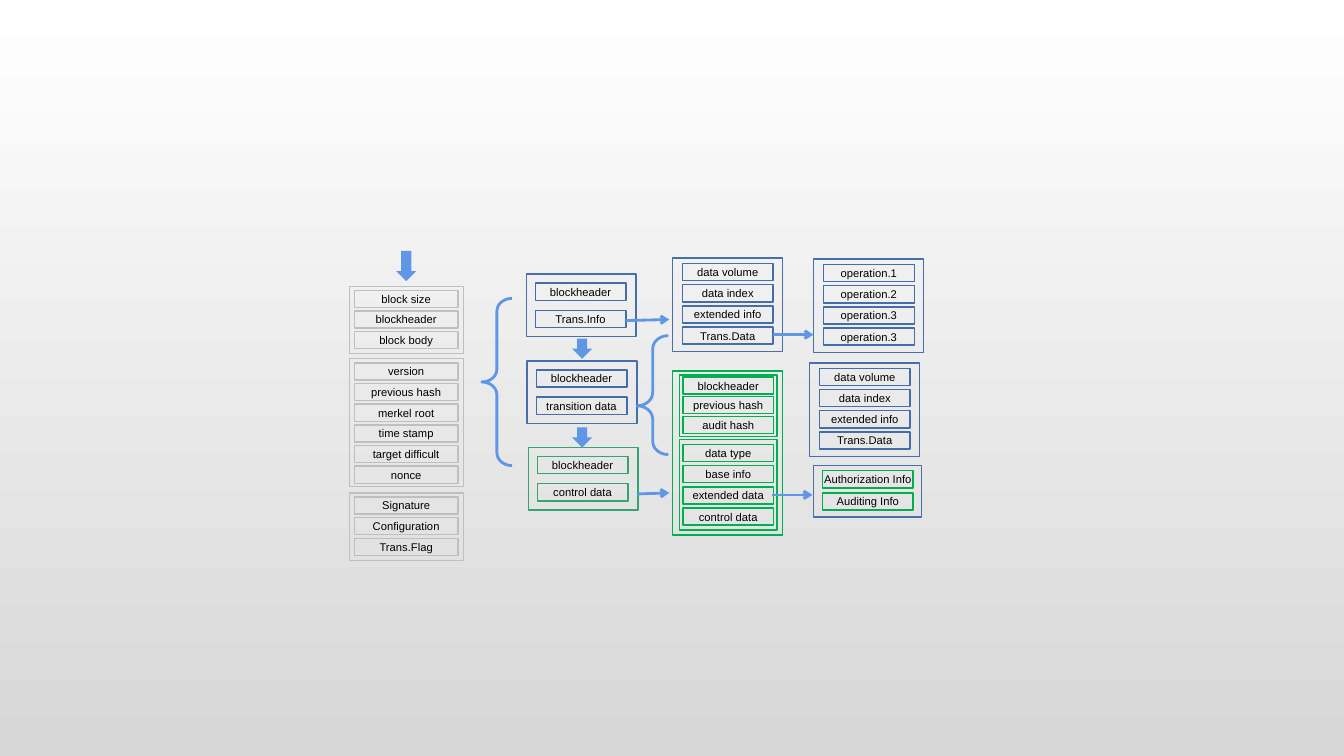
import pptx
import pptx.dml.color
import pptx.enum.dml
import pptx.enum.shapes
import pptx.enum.text
import pptx.oxml
import pptx.oxml.ns
import pptx.util

COLORS = {
    "flow": "6096E6", "blue": "476FAA", "blue row": "446DA9",
    "green": "00B050", "soft green": "34A471", "gray": "BFBFBF",
    "text": "000000", "top": "FFFFFF", "bottom": "D7D7D7",
}
SHAPES = pptx.enum.shapes.MSO_SHAPE
ROW_HEIGHT = 1.7


def cells(count):
    """Length of a number of grid cells; the slide is 133.33 by 75 cells."""
    return pptx.util.Inches(count / 10)


def color(name):
    return pptx.dml.color.RGBColor.from_string(COLORS[name])


def add_outline(slide, kind, box, line, width=1):
    shape = slide.shapes.add_shape(kind, *map(cells, box))
    shape.shadow.inherit = False
    shape.fill.background()
    shape.line.color.rgb = color(line)
    shape.line.width = pptx.util.Pt(width)
    return shape


def write_text(shape, text, size=8, font="Arial", ink="text"):
    frame = shape.text_frame
    frame.word_wrap = True
    frame.auto_size = pptx.enum.text.MSO_AUTO_SIZE.SHAPE_TO_FIT_TEXT
    frame.vertical_anchor = pptx.enum.text.MSO_ANCHOR.MIDDLE
    frame.margin_left = frame.margin_right = 0
    frame.margin_top = frame.margin_bottom = cells(0.2)
    paragraph = frame.paragraphs[0]
    paragraph.alignment = pptx.enum.text.PP_ALIGN.CENTER
    run = paragraph.add_run()
    run.text = text
    run.font.size = pptx.util.Pt(size)
    run.font.name = font
    run.font.color.rgb = color(ink)


def add_panel(slide, box, labels, line, row_line=None, inset=(1, 0.55), row_width=9, pitch=2.1):
    """Frame with labelled rows, placed by inset and pitch from its top left corner."""
    add_outline(slide, SHAPES.RECTANGLE, box, line)
    for index, label in enumerate(labels):
        row_box = (box[0] + inset[0], box[1] + inset[1] + index * pitch, row_width, ROW_HEIGHT)
        row = add_outline(slide, SHAPES.RECTANGLE, row_box, row_line or line)
        write_text(row, label)


def add_down_arrow(slide, box):
    arrow = slide.shapes.add_shape(SHAPES.RIGHT_ARROW, *map(cells, box))
    arrow.rotation = 90
    arrow.shadow.inherit = False
    arrow.fill.solid()
    arrow.fill.fore_color.rgb = color("flow")
    arrow.line.fill.background()


def add_brace(slide, box, point):
    brace = add_outline(slide, SHAPES.LEFT_BRACE, box, "flow", width=2)
    brace.adjustments[0] = 0.42
    brace.adjustments[1] = point


def add_arrow(slide, start, end):
    arrow = slide.shapes.add_connector(
        pptx.enum.shapes.MSO_CONNECTOR.STRAIGHT, *map(cells, start + end))
    arrow.line.color.rgb = color("flow")
    arrow.line.width = pptx.util.Pt(2)
    namespace = pptx.oxml.ns.nsdecls("a")
    arrow.line._get_or_add_ln().append(
        pptx.oxml.parse_xml(f'<a:tailEnd {namespace} type="arrow"/>'))
    arrow._element.spPr.append(pptx.oxml.parse_xml(f"<a:effectLst {namespace}/>"))


def add_block_column(slide, left, top):
    add_down_arrow(slide, (left + 4.1, top - 3, 3, 2))
    groups = [
        (0, 6.7, ["block size", "blockheader", "block body"]),
        (7.2, 12.7, ["version", "previous hash", "merkel root",
                     "time stamp", "target difficult", "nonce"]),
        (20.5, 6.7, ["Signature", "Configuration", "Trans.Flag"]),
    ]
    for offset, height, labels in groups:
        add_panel(slide, (left, top + offset, 11.3, height), labels, "gray",
                  inset=(0.45, 0.4), row_width=10.3, pitch=2.05)


def add_chain_column(slide, left, top):
    add_brace(slide, (left - 4.4, top + 2.4, 3, 16.6), 0.5)
    links = [("Trans.Info", "blue", "blue row"), ("transition data", "blue", "blue row"),
             ("control data", "soft green", "soft green")]
    for index, (label, line, row_line) in enumerate(links):
        box = (left + index * 0.1, top + index * 8.6, 10.9, 6.2)
        add_panel(slide, box, ["blockheader", label], line, row_line, inset=(0.9, 0.9), pitch=2.7)
    for offset in (6.4, 15.2):
        add_down_arrow(slide, (left + 4.55, top + offset, 2, 2))


def add_data_column(slide, left, top):
    add_panel(slide, (left, top, 10.9, 9.3),
              ["data volume", "data index", "extended info", "Trans.Data"], "blue", "blue row")
    add_panel(slide, (left, top + 11.2, 10.9, 16.3), [], "green")
    add_panel(slide, (left + 0.7, top + 11.6, 9.7, 6.1),
              ["blockheader", "previous hash", "audit hash"], "green",
              inset=(0.35, 0.2), pitch=1.95)
    add_panel(slide, (left + 0.7, top + 18, 9.7, 9),
              ["data type", "base info", "extended data", "control data"], "green",
              inset=(0.35, 0.5))


def add_detail_column(slide, left, top):
    add_panel(slide, (left, top, 10.9, 9.3),
              ["operation.1", "operation.2", "operation.3", "operation.3"], "blue", "blue row")
    add_panel(slide, (left - 0.4, top + 10.3, 10.9, 9.3),
              ["data volume", "data index", "extended info", "Trans.Data"], "blue", "blue row")
    add_panel(slide, (left, top + 20.5, 10.7, 5.1),
              ["Authorization Info", "Auditing Info"], "blue", "green",
              inset=(0.9, 0.5), pitch=2.2)


def add_links(slide):
    add_brace(slide, (63.2, 33.3, 3.1, 11.8), 0.59)
    links = [((62.1, 31.8), (66.4, 31.7)), ((63.3, 49), (66.4, 48.9)),
             ((76.7, 33.2), (80.7, 33.2)), ((76.6, 49.1), (80.6, 49.1))]
    for start, end in links:
        add_arrow(slide, start, end)


def paint_background(slide):
    fill = slide.background.fill
    fill.gradient()
    fill.gradient_angle = 270
    for stop, name, position in zip(fill.gradient_stops, ("top", "bottom"), (0, 1)):
        stop.color.rgb = color(name)
        stop.position = position


def main():
    presentation = pptx.Presentation()
    presentation.slide_width = cells(133.33)
    presentation.slide_height = cells(75)
    slide = presentation.slides.add_slide(presentation.slide_layouts[6])
    paint_background(slide)
    add_block_column(slide, 34.7, 28.4)
    add_chain_column(slide, 52.2, 27.2)
    add_data_column(slide, 66.7, 25.6)
    add_detail_column(slide, 80.7, 25.7)
    add_links(slide)
    presentation.save("out.pptx")


if __name__ == "__main__":
    main()
